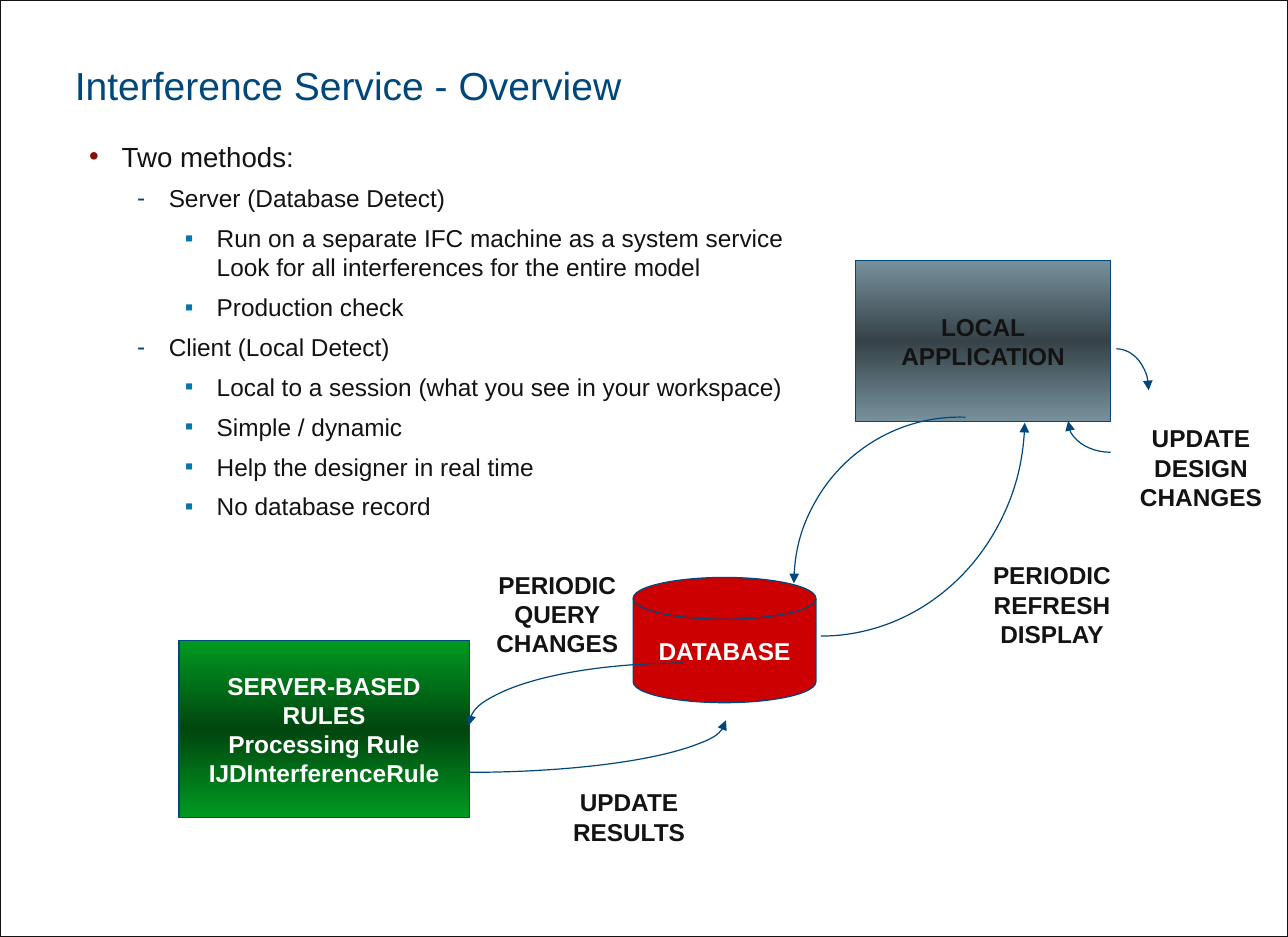
from copy import deepcopy
from dataclasses import dataclass

from lxml import etree
from pptx import Presentation
from pptx.dml.color import RGBColor
from pptx.enum.shapes import MSO_SHAPE
from pptx.enum.text import MSO_ANCHOR, PP_ALIGN
from pptx.oxml.ns import qn
from pptx.util import Pt

RECTANGLE = MSO_SHAPE.RECTANGLE
DISK = MSO_SHAPE.FLOWCHART_MAGNETIC_DISK
ARC = MSO_SHAPE.ARC
TOP, MIDDLE, BOTTOM = MSO_ANCHOR.TOP, MSO_ANCHOR.MIDDLE, MSO_ANCHOR.BOTTOM
CENTER = PP_ALIGN.CENTER


@dataclass(frozen=True)
class Theme:
    font: str = "Arial"
    background: str = "CED8D9"
    white: str = "FFFFFF"
    ink: str = "131313"
    blue: str = "00477B"
    red: str = "CC0000"
    green: tuple = ("009A21", "00460F", "009A21")
    slate: tuple = ("77919D", "364248", "77919D")
    bullets: tuple = ("8B0F04", "07467F", "0077B0")
    title_size: float = 24
    lead_size: float = 17
    text_size: float = 15
    line_width: float = 0.75


THEME = Theme()

# Bullet, left margin, hanging indent and text size per level
LEVELS = [
    ("•", 20, 20, THEME.lead_size),
    ("-", 49, 19.5, THEME.text_size),
    ("▪", 78.5, 19.5, THEME.text_size),
]

METHODS = [
    (0, "Two methods:"),
    (1, "Server (Database Detect)"),
    (2, "Run on a separate IFC machine as a system service "
        "Look for all interferences for the entire model"),
    (2, "Production check"),
    (1, "Client (Local Detect)"),
    (2, "Local to a session (what you see in your workspace)"),
    (2, "Simple / dynamic"),
    (2, "Help the designer in real time"),
    (2, "No database record"),
]

NODES = [
    (RECTANGLE, (110, 393.8, 178.5, 109), THEME.green, THEME.white,
     "SERVER-BASED\nRULES\nProcessing Rule\nIJDInterferenceRule"),
    (DISK, (389.3, 355, 112.4, 77), THEME.red, THEME.white, "DATABASE"),
    (RECTANGLE, (526, 160, 157, 99.2), THEME.slate, THEME.ink,
     "LOCAL\nAPPLICATION"),
]

LABELS = [
    ((297.4, 346.4, 90.6, 62), "PERIODIC\nQUERY\nCHANGES"),
    ((344, 480.2, 85.6, 44), "UPDATE\nRESULTS"),
    ((693.2, 256.4, 90.6, 62), "UPDATE\nDESIGN\nCHANGES"),
    ((602.6, 340.6, 88.6, 62), "PERIODIC\nREFRESH\nDISPLAY"),
]

# Box of the whole ellipse, clockwise start and end angle, arrowhead end
ARROWS = [
    ((379.4, 122.2, 250.8, 268.8), 1.5, 90, "headEnd"),
    ((288.2, 407.6, 264.4, 76.6), 180, 270, "headEnd"),
    ((129.8, 410.8, 316.6, 64), 0, 90, "headEnd"),
    ((488.2, 256.4, 203.8, 204.4), 180, 272, "headEnd"),
    ((666.6, 214.4, 39.8, 51), 270, 0, "tailEnd"),
    ((656.8, 239.6, 52.4, 38.4), 90, 180, "tailEnd"),
]


def color(value):
    return RGBColor.from_string(value)


def points(box):
    return [Pt(length) for length in box]


def style_font(paragraph, size, text_color, bold=False):
    for run in paragraph.runs:
        run.font.name = THEME.font
        run.font.size = Pt(size)
        run.font.bold = bold
        run.font.color.rgb = color(text_color)


def set_frame(text_frame, anchor, side=0, end=0, wrap=True):
    text_frame.word_wrap = wrap
    text_frame.vertical_anchor = anchor
    text_frame.margin_left = text_frame.margin_right = Pt(side)
    text_frame.margin_top = text_frame.margin_bottom = Pt(end)


def set_caption(shape, text, text_color):
    """Write bold centred lines into a node or a label."""
    text_frame = shape.text_frame
    set_frame(text_frame, MIDDLE, side=4, end=3.6, wrap=False)
    text_frame.text = text
    for paragraph in text_frame.paragraphs:
        paragraph.alignment = CENTER
        style_font(paragraph, THEME.text_size, text_color, bold=True)


def set_gradient(shape, colors):
    """Fill a shape with three evenly spaced stops from top to bottom."""
    fill = shape.fill
    fill.gradient()
    fill.gradient_angle = 90
    stop_list = shape.element.spPr.find(".//" + qn("a:gsLst"))
    stop_list.insert(1, deepcopy(stop_list[0]))
    for index, (stop, value) in enumerate(zip(fill.gradient_stops, colors)):
        stop.position = index / 2
        stop.color.rgb = color(value)


def add_outlined(slide, kind, box, line_color=THEME.blue):
    shape = slide.shapes.add_shape(kind, *points(box))
    shape.shadow.inherit = False
    shape.line.color.rgb = color(line_color)
    shape.line.width = Pt(THEME.line_width)
    return shape


def add_page(slide, width, height):
    slide.background.fill.solid()
    slide.background.fill.fore_color.rgb = color(THEME.background)
    page = add_outlined(slide, RECTANGLE, (0, 0, width, height), THEME.ink)
    page.fill.solid()
    page.fill.fore_color.rgb = color(THEME.white)


def add_title(slide, text):
    text_frame = slide.shapes.add_textbox(
        *points((46, 9.6, 480, 57))).text_frame
    set_frame(text_frame, BOTTOM)
    text_frame.text = text
    style_font(text_frame.paragraphs[0], THEME.title_size, THEME.blue)


def set_bullet(paragraph, level):
    bullet, margin, hanging, size = LEVELS[level]
    properties = paragraph._p.get_or_add_pPr()
    properties.set("marL", str(Pt(margin)))
    properties.set("indent", str(-Pt(hanging)))
    holder = etree.SubElement(properties, qn("a:buClr"))
    etree.SubElement(holder, qn("a:srgbClr"), val=THEME.bullets[level])
    etree.SubElement(properties, qn("a:buFont"), typeface=THEME.font)
    etree.SubElement(properties, qn("a:buChar"), char=bullet)
    paragraph.level = level
    paragraph.space_after = Pt(6.5)
    style_font(paragraph, size, THEME.ink)


def add_bullets(slide, items):
    text_frame = slide.shapes.add_textbox(
        *points((54.8, 85.8, 446.4, 347))).text_frame
    set_frame(text_frame, TOP)
    text_frame.text = "\n".join(text for _, text in items)
    for paragraph, (level, _) in zip(text_frame.paragraphs, items):
        set_bullet(paragraph, level)


def add_node(slide, kind, box, fill, text_color, text):
    shape = add_outlined(slide, kind, box)
    if isinstance(fill, tuple):
        set_gradient(shape, fill)
    else:
        shape.fill.solid()
        shape.fill.fore_color.rgb = color(fill)
    set_caption(shape, text, text_color)


def add_label(slide, box, text):
    set_caption(slide.shapes.add_textbox(*points(box)), text, THEME.ink)


def add_arc_arrow(slide, box, start, end, arrow_end):
    arc = add_outlined(slide, ARC, box)
    arc.fill.background()
    # An adjustment unit is 100000; a degree is 60000
    arc.adjustments[0] = start * 0.6
    arc.adjustments[1] = end * 0.6
    line = arc.element.spPr.find(qn("a:ln"))
    etree.SubElement(line, qn("a:" + arrow_end), type="triangle")


def main():
    presentation = Presentation()
    width, height = 792, 576
    presentation.slide_width = Pt(width)
    presentation.slide_height = Pt(height)
    slide = presentation.slides.add_slide(presentation.slide_layouts[6])
    add_page(slide, width, height)
    add_title(slide, "Interference Service - Overview")
    add_bullets(slide, METHODS)
    for node in NODES:
        add_node(slide, *node)
    for arrow in ARROWS:
        add_arc_arrow(slide, *arrow)
    for label in LABELS:
        add_label(slide, *label)
    presentation.save("out.pptx")


if __name__ == "__main__":
    main()
